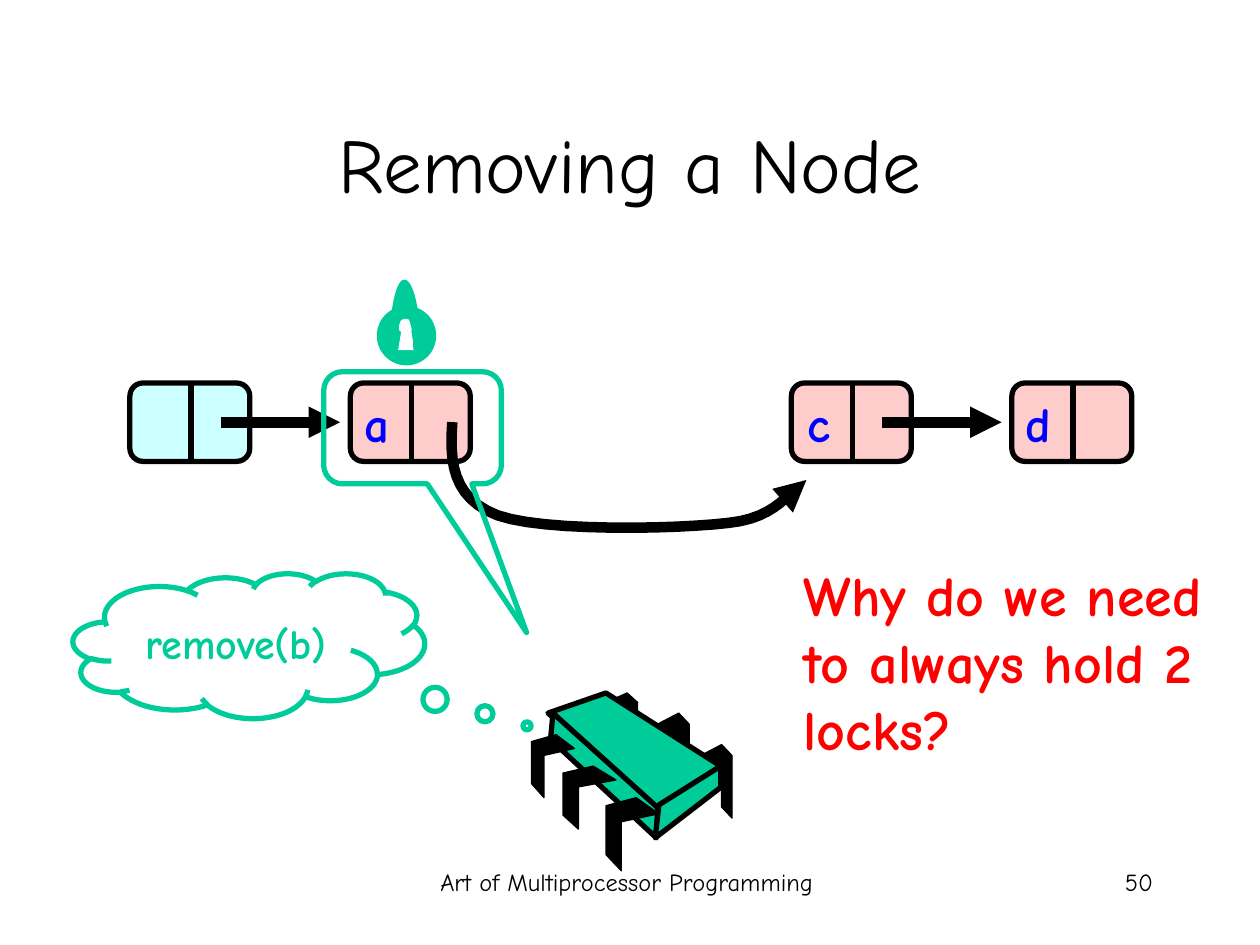
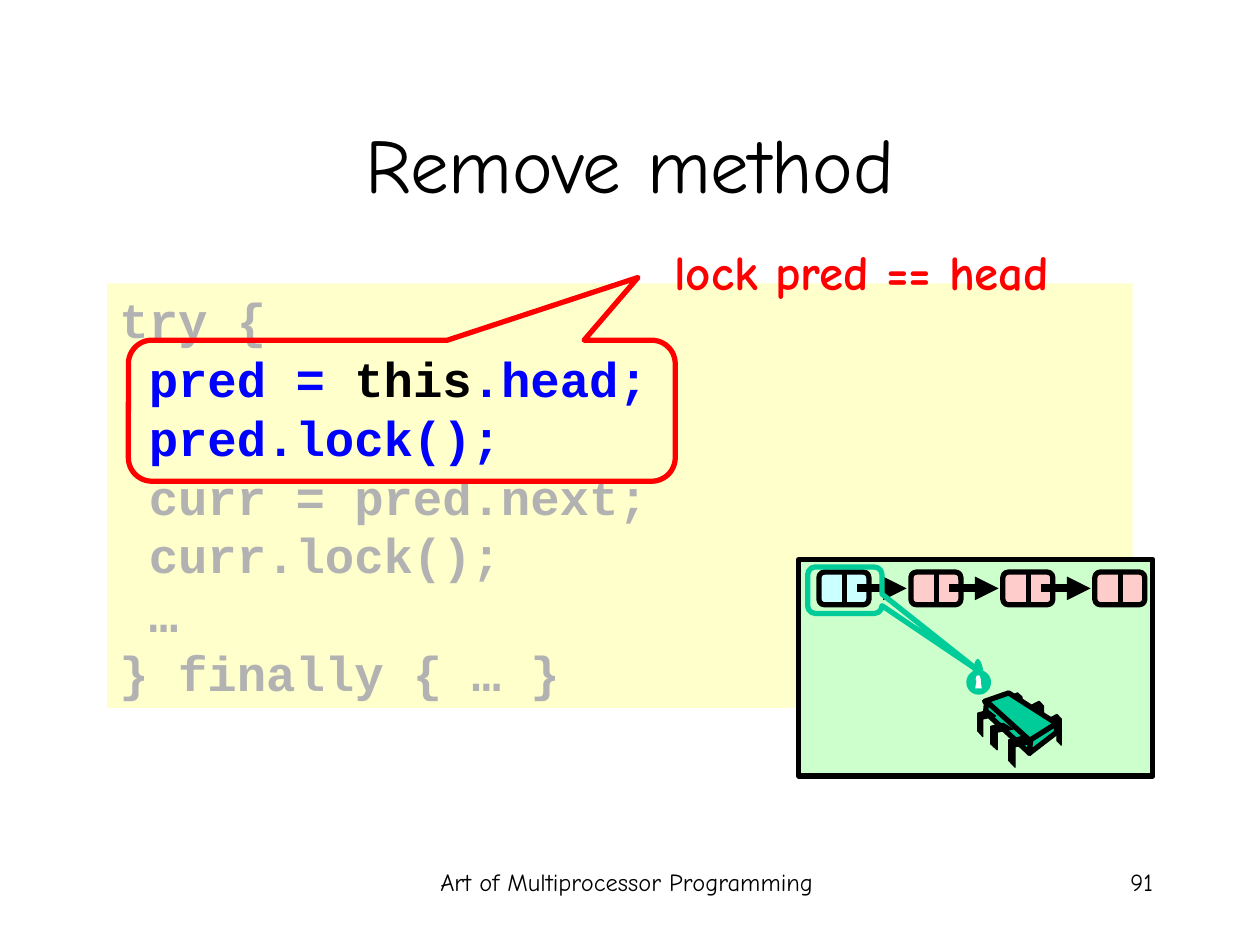
"""Build two slides on removing a node from a list with fine-grained locks."""
import dataclasses
import typing

import lxml.etree
import pptx
import pptx.dml.color
import pptx.enum.shapes
import pptx.enum.text
import pptx.oxml.ns
import pptx.shapes.base
import pptx.shapes.shapetree
import pptx.slide
import pptx.util

Pt = pptx.util.Pt
qn = pptx.oxml.ns.qn
Kind = pptx.enum.shapes.MSO_SHAPE
Align = pptx.enum.text.PP_ALIGN
Anchor = pptx.enum.text.MSO_ANCHOR
ShapeTree = pptx.shapes.shapetree.SlideShapes | pptx.shapes.shapetree.GroupShapes
Shape = pptx.shapes.base.BaseShape
Point = tuple[float, float]


@dataclasses.dataclass(frozen=True)
class Theme:
    black: str = "000000"
    white: str = "FFFFFF"
    green: str = "00CC99"
    red: str = "FF0000"
    blue: str = "0000FF"
    gray: str = "B2B2B2"
    head_fill: str = "CCFFFF"
    node_fill: str = "FFCCCC"
    code_fill: str = "FFFFCC"
    preview_fill: str = "CCFFCC"
    font: str = "Comic Neue"
    code_font: str = "Courier New"
    title_size: float = 44
    question_size: float = 32
    label_size: float = 28
    thought_size: float = 24
    footer_size: float = 14
    outline: float = 3
    hairline: float = 0.75
    arrow: float = 6
    preview_arrow: float = 4.5


class Box(typing.NamedTuple):
    left: float
    top: float
    width: float
    height: float


class Run(typing.NamedTuple):
    text: str
    color: str | None = None
    size: float | None = None


class Node(typing.NamedTuple):
    slot: int
    fill: str
    label: str = ""
    linked: bool = False


THEME = Theme()
PREVIEW_SCALE = 0.417
NODE_STEP = 126
NODE_SIZE = (68.5, 44.8)
BACK_LEG = [(0, 0.15), (0.67, 0), (1, 0.15), (1, 1), (0.67, 0.85), (0.67, 0.29), (0, 0.43)]
FRONT_LEG = [(0.57, 0), (1, 0.22), (0.29, 0.33), (0.29, 1), (0, 0.78), (0, 0.11)]
BACK_LEG_BOXES = [Box(96.5, 29.5, 18, 42), Box(72, 11.5, 18, 42), Box(42.5, 0, 18, 36)]
FRONT_LEG_BOXES = [Box(42.5, 59.8, 30.2, 41.8), Box(18, 41.8, 30.2, 36), Box(0, 23.8, 24.5, 36)]
CHIP_FACES = [
    [(42.5, 0), (108, 41.8), (71.3, 67), (9.4, 11.5)],
    [(12.2, 11.5), (72, 65.5), (71.3, 82.8), (10.8, 26.6)],
    [(108, 41.8), (108, 54), (70.6, 82.8), (72.7, 64)],
]


def rgb(color: str) -> pptx.dml.color.RGBColor:
    """Turn a hex colour into an RGBColor."""
    return pptx.dml.color.RGBColor.from_string(color)


def style(shape: Shape, fill: str | None, line: str | None, weight: float) -> None:
    """Set fill and line of a shape and drop its shadow."""
    shape.shadow.inherit = False
    if fill:
        shape.fill.solid()
        shape.fill.fore_color.rgb = rgb(fill)
    else:
        shape.fill.background()
    if line:
        shape.line.color.rgb = rgb(line)
        shape.line.width = Pt(weight)
    else:
        shape.line.fill.background()


def add_shape(shapes: ShapeTree, kind: Kind, box: Box, fill: str | None = None, line: str | None = None,
              adjustments: tuple[float, ...] = ()) -> Shape:
    """Add a styled preset shape."""
    shape = shapes.add_shape(kind, *map(Pt, box))
    style(shape, fill, line, THEME.outline)
    for index, value in enumerate(adjustments):
        shape.adjustments[index] = value
    return shape


def add_outline(shapes: ShapeTree, points: list[Point], fill: str | None = None, line: str | None = None,
                weight: float = THEME.outline, close: bool = True) -> Shape:
    """Add a freeform through the points."""
    start, *rest = [(Pt(x), Pt(y)) for x, y in points]
    builder = shapes.build_freeform(*start)
    builder.add_line_segments(rest, close=close)
    shape = builder.convert_to_shape()
    style(shape, fill, line, weight)
    return shape


def add_arrowhead(shape: Shape) -> None:
    """Put a triangle at the end of a line."""
    line = shape.element.spPr.find(qn("a:ln"))
    lxml.etree.SubElement(line, qn("a:tailEnd"), type="triangle")


def add_line(shapes: ShapeTree, start: Point, end: Point, weight: float, arrow: bool = False) -> None:
    """Add a straight black line or arrow."""
    connector = shapes.add_connector(pptx.enum.shapes.MSO_CONNECTOR.STRAIGHT, *map(Pt, (*start, *end)))
    connector.line.color.rgb = rgb(THEME.black)
    connector.line.width = Pt(weight)
    lxml.etree.SubElement(connector.element.spPr, qn("a:effectLst"))
    if arrow:
        add_arrowhead(connector)


def write_text(shape: Shape, paragraphs: list[str | list[Run]], *, size: float, color: str = THEME.black,
               font: str = THEME.font, bold: bool = False, align: Align = Align.LEFT,
               anchor: Anchor = Anchor.TOP) -> None:
    """Fill a shape with formatted paragraphs."""
    frame = shape.text_frame
    frame.word_wrap = True
    frame.vertical_anchor = anchor
    for index, content in enumerate(paragraphs):
        paragraph = frame.add_paragraph() if index else frame.paragraphs[0]
        paragraph.alignment = align
        for part in [Run(content)] if isinstance(content, str) else content:
            run = paragraph.add_run()
            run.text = part.text
            run.font.name = font
            run.font.bold = bold
            run.font.size = Pt(part.size or size)
            run.font.color.rgb = rgb(part.color or color)


def add_text(shapes: ShapeTree, box: Box, paragraphs: list[str | list[Run]], **text_format: typing.Any) -> None:
    """Add a text box."""
    write_text(shapes.add_textbox(*map(Pt, box)), paragraphs, **text_format)


def place(points: list[Point], left: float, top: float, x_scale: float, y_scale: float) -> list[Point]:
    """Scale points and move them to a corner."""
    return [(left + x * x_scale, top + y * y_scale) for x, y in points]


def bezier(*controls: Point, steps: int = 12) -> list[Point]:
    """Sample a chain of cubic curves."""
    points = [controls[0]]
    for first in range(0, len(controls) - 1, 3):
        a, b, c, d = controls[first:first + 4]
        for t in (step / steps for step in range(1, steps + 1)):
            weights = ((1 - t) ** 3, 3 * t * (1 - t) ** 2, 3 * t * t * (1 - t), t ** 3)
            x, y = (sum(w * p[axis] for w, p in zip(weights, (a, b, c, d))) for axis in (0, 1))
            points.append((x, y))
    return points


def draw_chip(shapes: ShapeTree, left: float, top: float, scale: float = 1) -> None:
    """Draw a processor chip with six legs."""
    group = shapes.add_group_shape().shapes

    def draw_legs(outline: list[Point], boxes: list[Box]) -> None:
        """Draw one row of legs."""
        for box in boxes:
            leg = place(outline, box.left, box.top, box.width, box.height)
            add_outline(group, place(leg, left, top, scale, scale), THEME.black, THEME.black, THEME.hairline)

    draw_legs(BACK_LEG, BACK_LEG_BOXES)
    for face in CHIP_FACES:
        add_outline(group, place(face, left, top, scale, scale), THEME.green, THEME.black)
    draw_legs(FRONT_LEG, FRONT_LEG_BOXES)


def draw_lock(shapes: ShapeTree, left: float, top: float, scale: float = 1) -> None:
    """Draw a padlock."""
    group = shapes.add_group_shape().shapes
    for x, y, diameter, color in ((0, 15, 34, THEME.green), (12.2, 22.3, 8.6, THEME.white)):
        size = diameter * scale
        add_shape(group, Kind.OVAL, Box(left + x * scale, top + y * scale, size, size), color)
    keyhole = [(12.2, 40.3), (14.4, 27.4), (19.4, 27.4), (21.6, 40.3)]
    inner = bezier((11.5, 40.3), (11.5, 28.8), (13.7, 20.2), (15.8, 20.2), (18.7, 20.2), (20.9, 28.8), (20.9, 40.3))
    outer = bezier((25.2, 40.3), (25.2, 18), (20.9, 0), (15.8, 0), (10.8, 0), (7.2, 18), (7.2, 40.3))
    for points, color in ((keyhole, THEME.white), (inner + outer, THEME.green)):
        add_outline(group, place(points, left, top, scale, scale), color)


def draw_nodes(shapes: ShapeTree, nodes: list[Node], left: float, top: float, arrow: float, scale: float = 1) -> None:
    """Draw list nodes on a regular step, then the arrows between them."""
    width, height = (side * scale for side in NODE_SIZE)
    for node in nodes:
        x = left + node.slot * NODE_STEP * scale
        group = shapes.add_group_shape().shapes
        add_shape(group, Kind.ROUNDED_RECTANGLE, Box(x, top, width, height), node.fill, THEME.black, (0.167,))
        divider = x + 35 * scale
        add_line(group, (divider, top), (divider, top + height), THEME.outline)
        if node.label:
            add_text(group, Box(x, top + 2.2, 29.5, 41), [node.label], size=THEME.label_size, color=THEME.blue,
                     bold=True, align=Align.RIGHT)
    for node in nodes:
        if node.linked:
            x, y = left + node.slot * NODE_STEP * scale, top + height / 2
            add_line(shapes, (x + 51.8 * scale, y), (x + 120.2 * scale, y), arrow, arrow=True)


def start_slide(presentation: pptx.presentation.Presentation, title: str, number: int) -> ShapeTree:
    """Add a slide with title and footer and return its shapes."""
    shapes = presentation.slides.add_slide(presentation.slide_layouts[6]).shapes
    add_text(shapes, Box(223.2, 491.8, 270, 36), ["Art of Multiprocessor Programming"], size=THEME.footer_size,
             align=Align.CENTER)
    add_text(shapes, Box(516.2, 491.8, 149.8, 36), [str(number)], size=THEME.footer_size, align=Align.RIGHT)
    add_text(shapes, Box(54, 48.2, 612, 90), [title], size=THEME.title_size, align=Align.CENTER,
             anchor=Anchor.MIDDLE)
    return shapes


def build_removing_node(presentation: pptx.presentation.Presentation) -> None:
    """Build the slide with node b already unlinked."""
    shapes = start_slide(presentation, "Removing a Node", 50)
    nodes = [Node(0, THEME.head_fill, linked=True), Node(1, THEME.node_fill, "a"),
             Node(3, THEME.node_fill, "c", linked=True), Node(4, THEME.node_fill, "d")]
    draw_nodes(shapes, nodes, 74.2, 218.9, THEME.arrow)
    bypass = bezier((258.5, 241.2), (257, 262.8), (257.8, 284.4), (284.4, 294.5), (310.3, 303.8), (386.6, 302.4),
                    (416.2, 298.8), (445, 295.9), (451.4, 279.4), (460.8, 274.3))
    add_arrowhead(add_outline(shapes, bypass, line=THEME.black, weight=THEME.arrow, close=False))
    draw_chip(shapes, 303.8, 396)
    add_shape(shapes, Kind.ROUNDED_RECTANGULAR_CALLOUT, Box(185, 212.4, 101.5, 64.1), line=THEME.green,
              adjustments=(0.642, 1.826, 0.167))
    thought = add_shape(shapes, Kind.CLOUD_CALLOUT, Box(41.8, 327.6, 200.9, 82.8), line=THEME.green,
                        adjustments=(0.791, 0.553))
    write_text(thought, ["remove(b)"], size=THEME.thought_size, color=THEME.green, bold=True, align=Align.CENTER,
               anchor=Anchor.MIDDLE)
    draw_lock(shapes, 215.3, 159.8)
    add_text(shapes, Box(452.2, 316.8, 252.7, 122.4), ["Why do we need", "to always hold 2", "locks?"],
             size=THEME.question_size, color=THEME.red, bold=True)


def build_remove_method(presentation: pptx.presentation.Presentation) -> None:
    """Build the slide with the code and a preview of the list."""
    shapes = start_slide(presentation, "Remove method", 91)
    code = add_shape(shapes, Kind.RECTANGLE, Box(61.2, 162, 586.1, 242.6), THEME.code_fill)
    lines = ["try {", [Run(" pred = ", THEME.blue), Run("this", THEME.black), Run(".head;", THEME.blue)],
             [Run(" pred.lock();", THEME.blue)], " curr = pred.next;", " curr.lock();", " …", "} finally { … }"]
    write_text(code, lines, size=THEME.label_size, color=THEME.gray, font=THEME.code_font, bold=True)
    add_shape(shapes, Kind.ROUNDED_RECTANGULAR_CALLOUT, Box(73.4, 194.4, 312.5, 80.6), line=THEME.red,
              adjustments=(0.432, -0.945, 0.167))
    add_text(shapes, Box(349.9, 130.3, 296.6, 46.1), [[Run("lock pred == head"), Run(" ", size=THEME.question_size)]],
             size=THEME.label_size, color=THEME.red, bold=True, align=Align.CENTER)

    preview = shapes.add_group_shape().shapes
    add_shape(preview, Kind.RECTANGLE, Box(456.5, 319.7, 202.3, 123.8), THEME.preview_fill, THEME.black)
    nodes = [Node(slot, THEME.node_fill if slot else THEME.head_fill, linked=slot < 3) for slot in range(4)]
    draw_nodes(preview, nodes, 468, 326.9, THEME.preview_arrow, PREVIEW_SCALE)
    add_shape(preview, Kind.ROUNDED_RECTANGULAR_CALLOUT, Box(461.5, 324, 42.5, 26.6), line=THEME.green,
              adjustments=(1.813, 1.749, 0.167))
    draw_lock(preview, 552.2, 376.6, PREVIEW_SCALE)
    draw_chip(preview, 558.7, 396, PREVIEW_SCALE)


def main() -> None:
    """Build and save the presentation."""
    presentation = pptx.Presentation()
    presentation.slide_width, presentation.slide_height = Pt(720), Pt(540)
    build_removing_node(presentation)
    build_remove_method(presentation)
    presentation.save("out.pptx")


if __name__ == "__main__":
    main()
